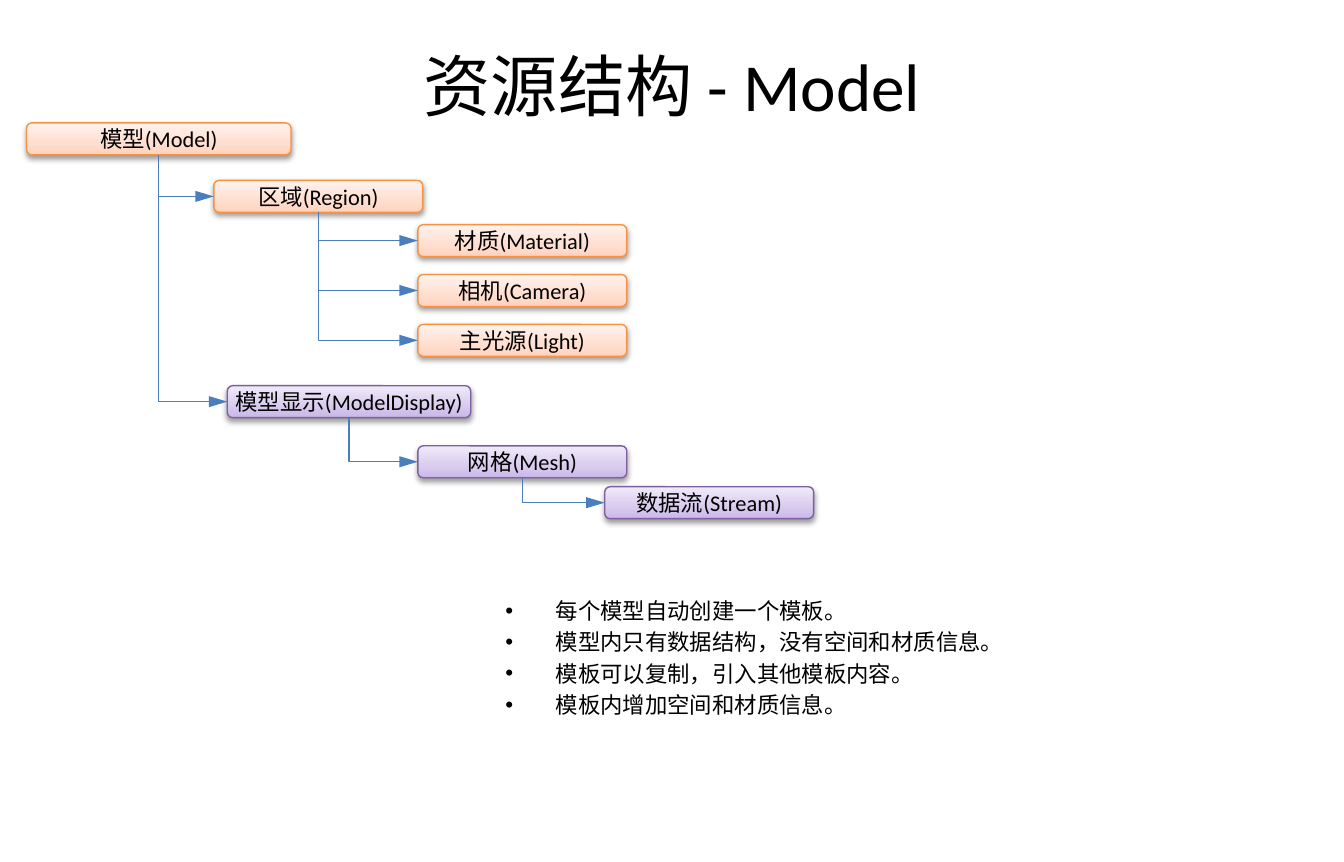
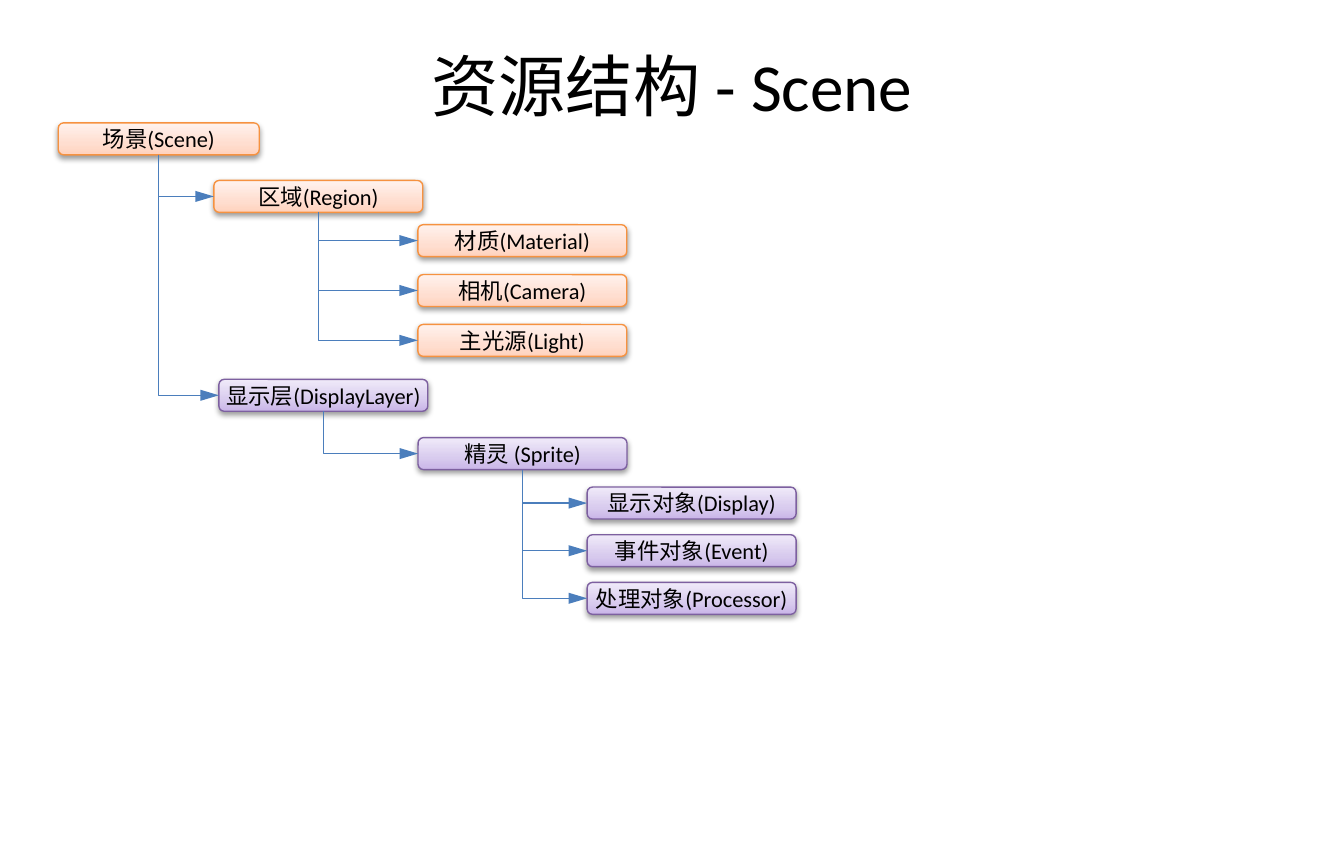
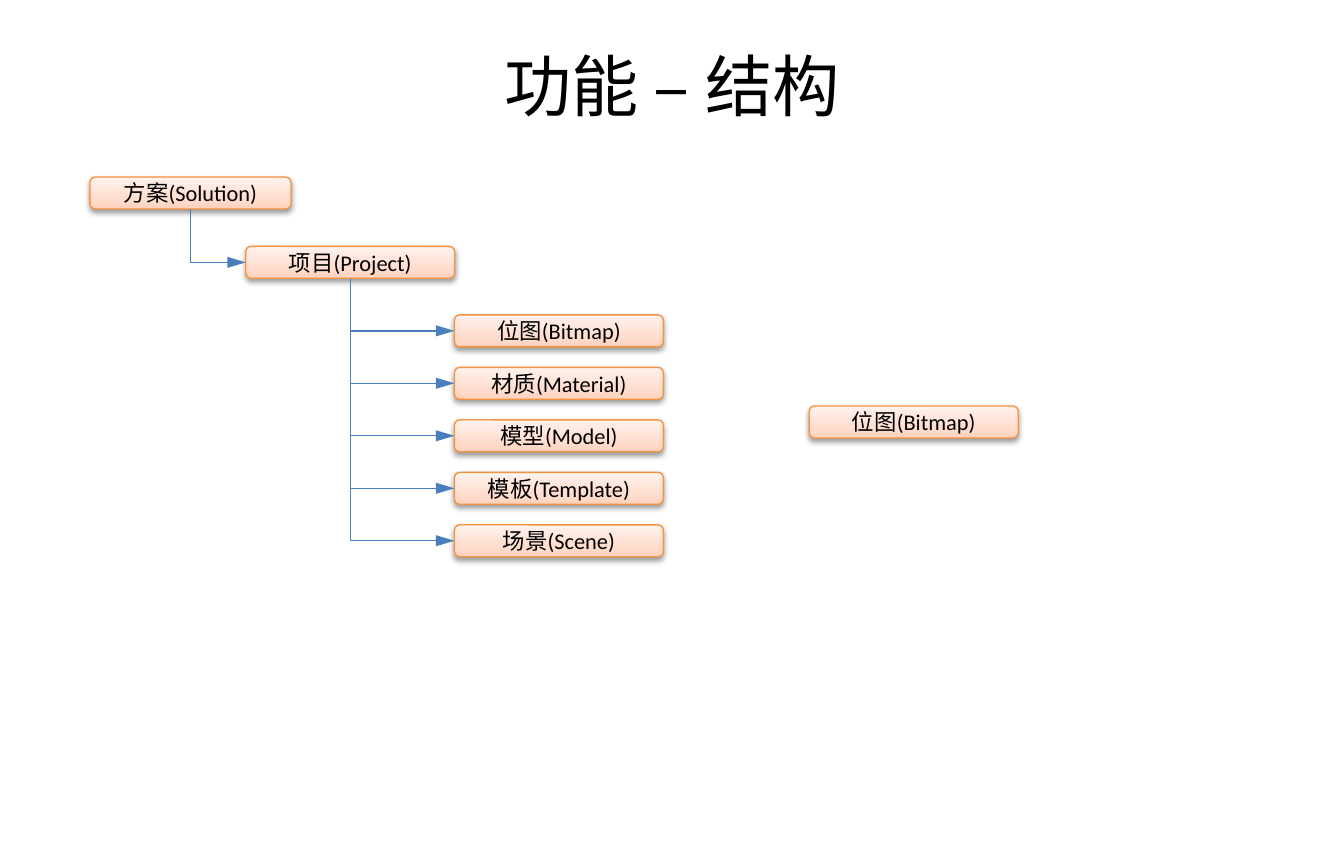
from copy import deepcopy
from dataclasses import dataclass

from pptx import Presentation
from pptx.dml.color import RGBColor
from pptx.enum.shapes import MSO_CONNECTOR, MSO_SHAPE
from pptx.enum.text import MSO_ANCHOR, PP_ALIGN
from pptx.oxml.ns import qn
from pptx.util import Pt
from lxml import etree

ELBOW = MSO_CONNECTOR.ELBOW
ROUNDED = MSO_SHAPE.ROUNDED_RECTANGLE
MIDDLE = MSO_ANCHOR.MIDDLE
CENTER = PP_ALIGN.CENTER
TITLE_ONLY = 5
BOTTOM_SITE, LEFT_SITE = 2, 1


@dataclass(frozen=True)
class Palette:
    """Outline colour and the three gradient colours of a kind of node."""
    line: str
    stops: tuple


@dataclass(frozen=True)
class Theme:
    """Colours, fonts and sizes that all slides share."""
    font: str = "Calibri"
    text: str = "000000"
    connector: str = "4B7EBC"
    orange: Palette = Palette("F69240", ("FFD2BD", "FFDED0", "FFF2ED"))
    purple: Palette = Palette("7D60A0", ("C9B5E8", "D8CBEE", "F0EAF9"))
    stop_positions: tuple = (0, 0.35, 1)
    title_size: float = 36
    body_size: float = 12
    line_width: float = 0.75
    node_width: float = 111.9
    root_width: float = 107.7
    node_height: float = 17.1


THEME = Theme()


def add_run(paragraph, text, size):
    """Add one run in the theme font."""
    run = paragraph.add_run()
    run.text = text
    run.font.name = THEME.font
    run.font.size = Pt(size)
    run.font.color.rgb = RGBColor.from_string(THEME.text)


def add_titled_slide(presentation, title):
    """Add a slide with a centred title."""
    slide = presentation.slides.add_slide(presentation.slide_layouts[TITLE_ONLY])
    shape = slide.shapes.title
    shape.left, shape.top, shape.width, shape.height = Pt(36), Pt(18.5), Pt(648), Pt(54)
    shape.text_frame.vertical_anchor = MIDDLE
    paragraph = shape.text_frame.paragraphs[0]
    paragraph.alignment = CENTER
    add_run(paragraph, title, THEME.title_size)
    return slide


def fill_gradient(shape, colors):
    """Fill a shape with a three-colour gradient that rises from the bottom."""
    shape.fill.gradient()
    shape.fill.gradient_angle = 90
    stop_list = shape.element.spPr.find(".//" + qn("a:gsLst"))
    stop_list.append(deepcopy(stop_list[0]))
    for stop, position, color in zip(shape.fill.gradient_stops, THEME.stop_positions, colors):
        stop.position = position
        stop.color.rgb = RGBColor.from_string(color)


def add_shadow(shape):
    """Give a shape a soft shadow below it."""
    shape.shadow.inherit = False
    effects = shape.element.spPr.find(qn("a:effectLst"))
    shadow = etree.SubElement(effects, qn("a:outerShdw"), blurRad=str(Pt(3.1)),
                              dist=str(Pt(1.6)), dir="5400000", rotWithShape="0")
    color = etree.SubElement(shadow, qn("a:srgbClr"), val="000000")
    etree.SubElement(color, qn("a:alpha"), val="38000")


def add_node(slide, text, left, top, palette=THEME.orange, width=THEME.node_width, parent=None):
    """Add a labelled node and, if it has a parent, the arrow to it."""
    node = slide.shapes.add_shape(ROUNDED, Pt(left), Pt(top), Pt(width), Pt(THEME.node_height))
    fill_gradient(node, palette.stops)
    node.line.color.rgb = RGBColor.from_string(palette.line)
    node.line.width = Pt(THEME.line_width)
    add_shadow(node)
    frame = node.text_frame
    frame.margin_left = frame.margin_right = frame.margin_top = frame.margin_bottom = 0
    frame.vertical_anchor = MIDDLE
    frame.paragraphs[0].alignment = CENTER
    add_run(frame.paragraphs[0], text, THEME.body_size)
    if parent is not None:
        add_branch(slide, parent, node)
    return node


def add_branch(slide, parent, child):
    """Draw an arrow down from the parent, then right to the child."""
    start_x, start_y = parent.left + parent.width // 2, parent.top + parent.height
    across = child.left - start_x
    down = child.top + child.height // 2 - start_y
    connector = slide.shapes.add_connector(ELBOW, start_x, start_y, child.left, start_y + down)
    connector.begin_connect(parent, BOTTOM_SITE)
    connector.end_connect(child, LEFT_SITE)
    connector.left = start_x + (across - down) // 2
    connector.top = start_y + (down - across) // 2
    connector.width, connector.height = down, across
    connector.line.color.rgb = RGBColor.from_string(THEME.connector)
    connector.line.width = Pt(THEME.line_width)
    properties = connector.element.spPr
    properties.find(qn("a:prstGeom")).set("prst", "bentConnector2")
    transform = properties.find(qn("a:xfrm"))
    transform.set("rot", "16200000")
    transform.set("flipH", "1")
    etree.SubElement(properties.find(qn("a:ln")), qn("a:tailEnd"), type="triangle", len="lg")
    etree.SubElement(properties, qn("a:effectLst"))


def add_children(slide, parent, labels, left, top, step, palette=THEME.orange):
    """Add evenly spaced child nodes under one parent."""
    for index, label in enumerate(labels):
        add_node(slide, label, left, top + index * step, palette, parent=parent)


def add_region(slide, root):
    """Add the region branch that both resource trees share."""
    region = add_node(slide, "区域(Region)", 114.6, 96.6, parent=root)
    add_children(slide, region, ("材质(Material)", "相机(Camera)", "主光源(Light)"),
                 223.9, 120.3, 26.7)


def add_bullets(slide, lines, left, top, width, height):
    """Add a text box with one bullet for each line."""
    frame = slide.shapes.add_textbox(Pt(left), Pt(top), Pt(width), Pt(height)).text_frame
    frame.word_wrap = True
    for index, line in enumerate(lines):
        paragraph = frame.add_paragraph() if index else frame.paragraphs[0]
        paragraph.space_before = Pt(0.2 * THEME.body_size)
        properties = paragraph._p.get_or_add_pPr()
        properties.set("marL", str(Pt(27)))
        properties.set("indent", str(-Pt(27)))
        etree.SubElement(properties, qn("a:buFont"), typeface="Arial")
        etree.SubElement(properties, qn("a:buChar"), char="•")
        add_run(paragraph, line, THEME.body_size)


def build_model_slide(presentation):
    """Build the tree of a model resource."""
    slide = add_titled_slide(presentation, "资源结构 - Model")
    model = add_node(slide, "模型(Model)", 14.2, 65.8, width=141.7)
    add_region(slide, model)
    display = add_node(slide, "模型显示(ModelDisplay)", 121.8, 206.5, THEME.purple, 130.4, model)
    mesh = add_node(slide, "网格(Mesh)", 223.9, 238.7, THEME.purple, parent=display)
    add_node(slide, "数据流(Stream)", 324, 260.6, THEME.purple, parent=mesh)
    add_bullets(slide, ("每个模型自动创建一个模板。",
                        "模型内只有数据结构，没有空间和材质信息。",
                        "模板可以复制，引入其他模板内容。",
                        "模板内增加空间和材质信息。"), 263.6, 316.1, 436.4, 93.6)


def build_scene_slide(presentation):
    """Build the tree of a scene resource."""
    slide = add_titled_slide(presentation, "资源结构 - Scene")
    scene = add_node(slide, "场景(Scene)", 31.2, 65.8, width=THEME.root_width)
    add_region(slide, scene)
    layer = add_node(slide, "显示层(DisplayLayer)", 117.3, 203.1, THEME.purple, parent=scene)
    sprite = add_node(slide, "精灵 (Sprite)", 224, 234.3, THEME.purple, parent=layer)
    add_children(slide, sprite, ("显示对象(Display)", "事件对象(Event)", "处理对象(Processor)"),
                 314.6, 260.8, 25.5, THEME.purple)


def build_function_slide(presentation):
    """Build the tree of a solution."""
    slide = add_titled_slide(presentation, "功能 – 结构")
    solution = add_node(slide, "方案(Solution)", 48.2, 94.8, width=THEME.root_width)
    project = add_node(slide, "项目(Project)", 131.7, 131.9, parent=solution)
    add_children(slide, project, ("位图(Bitmap)", "材质(Material)", "模型(Model)",
                                  "模板(Template)", "场景(Scene)"), 243.5, 168.6, 28.1)
    add_node(slide, "位图(Bitmap)", 433.6, 217.4)


def main():
    """Build and save the presentation."""
    presentation = Presentation()
    presentation.slide_width = Pt(720)
    presentation.slide_height = Pt(461.52)
    build_model_slide(presentation)
    build_scene_slide(presentation)
    build_function_slide(presentation)
    presentation.save("out.pptx")


main()
